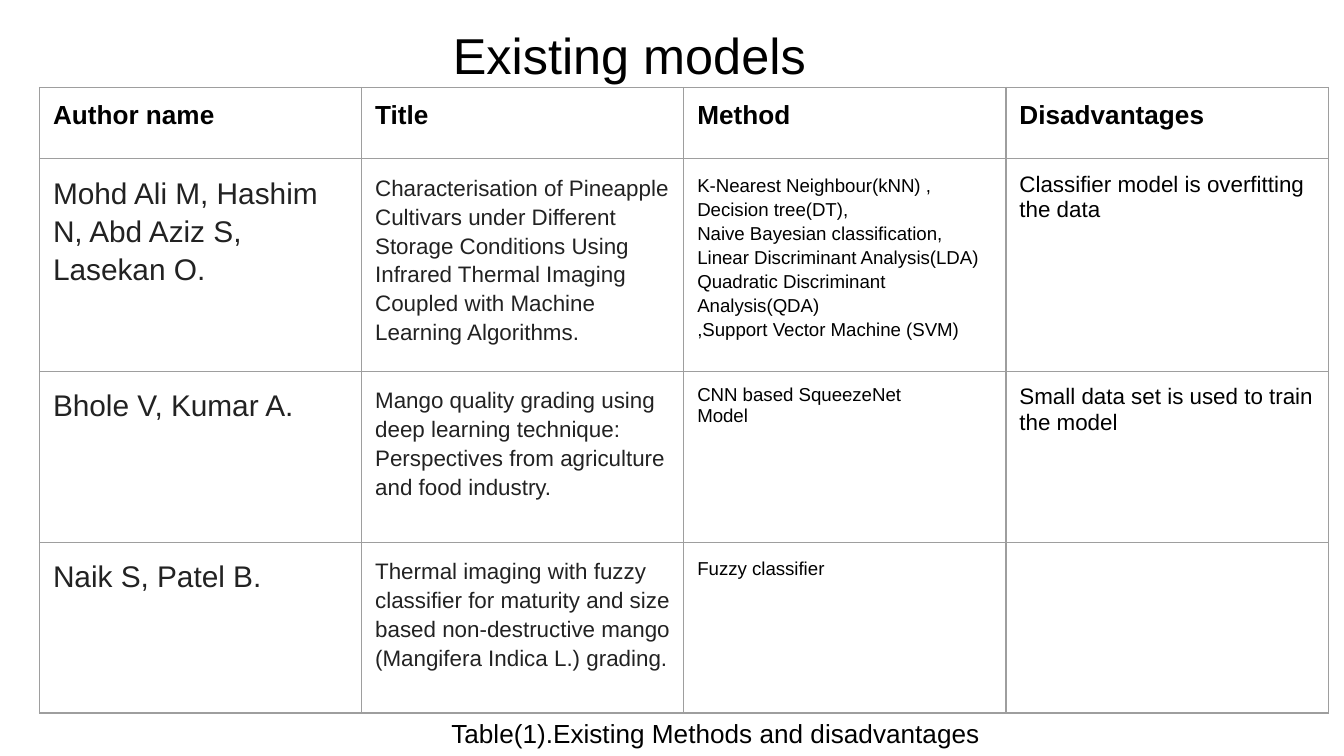
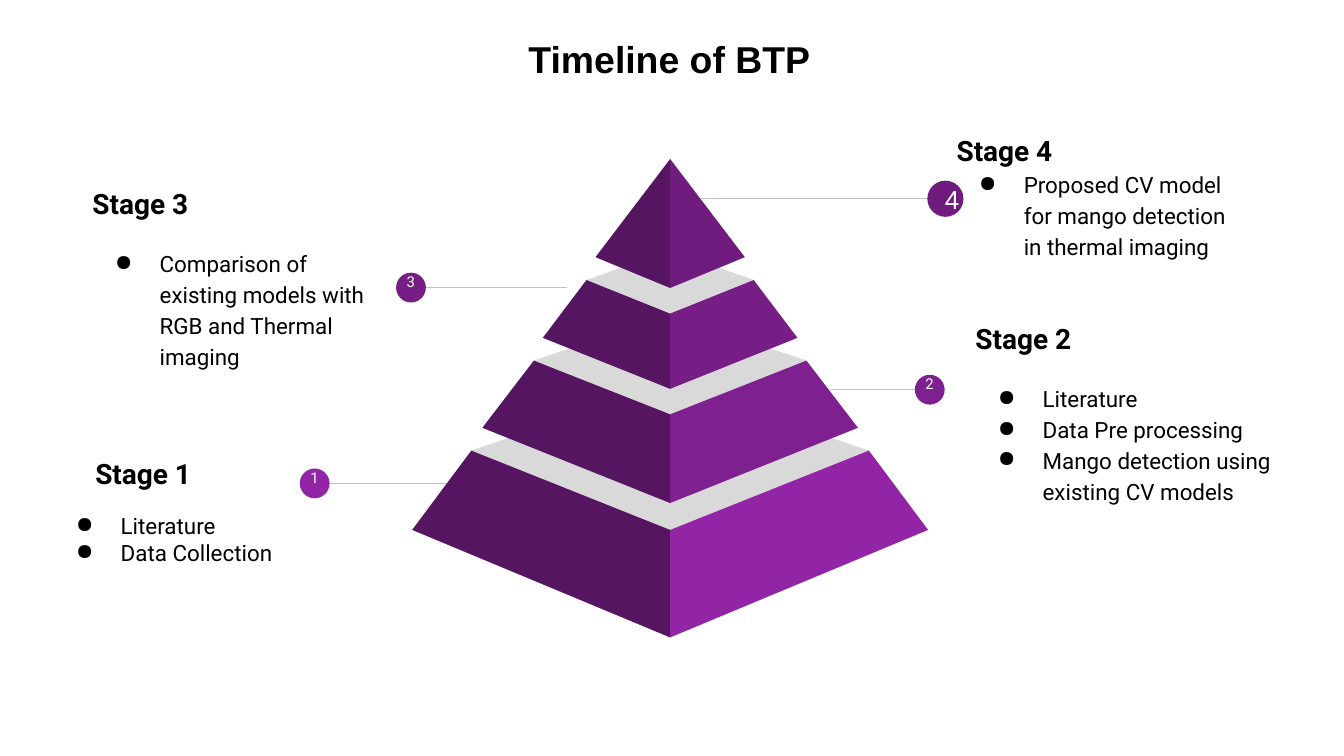
from dataclasses import dataclass

from lxml.etree import SubElement
from pptx import Presentation
from pptx.dml.color import RGBColor as RGB
from pptx.enum.shapes import MSO_CONNECTOR as CONN, MSO_SHAPE as SHAPE
from pptx.enum.text import MSO_ANCHOR as ANCHOR, PP_ALIGN as ALIGN
from pptx.oxml.ns import qn
from pptx.util import Pt


@dataclass(frozen=True)
class Theme:
    sans: str = "Arial"
    body: str = "Roboto"
    ink: str = "000000"
    soft: str = "222222"
    white: str = "FFFFFF"
    grid: str = "9E9E9E"
    leader: str = "C2C2C2"
    lid: str = "D9D9D9"
    shade: str = "551561"
    stages: tuple = ("9225A5", "7F2090", "761E86", "701C7F")
    title: float = 27
    title_bold: float = 20
    stage: float = 15
    author: float = 16
    label: float = 14
    text: float = 12
    small: float = 10
    badge: float = 8
    inset: float = 7.2
    line: float = 0.75


T = Theme()


# Shared helpers

def write(tf, text, size=T.text, font=T.sans, color=T.ink, bold=False,
          align=ALIGN.LEFT, spacing=None, after=0, indent=0, bullet=False):
    """Add one paragraph, filling the empty first one if there is one."""
    p = tf.paragraphs[0]
    if p.runs:
        p = tf.add_paragraph()
    p.alignment, p.space_after = align, Pt(after)
    if spacing:
        p.line_spacing = spacing
    r = p.add_run()
    r.text = text
    f = r.font
    f.size, f.name, f.bold = Pt(size), font, bold
    f.color.rgb = RGB.from_string(color)
    pPr = p._p.get_or_add_pPr()
    if indent:
        pPr.set("marL", str(Pt(indent)))
    if bullet:
        pPr.set("marL", str(Pt(36)))
        pPr.set("indent", str(Pt(-24)))
        clr = SubElement(pPr, qn("a:buClr"))
        SubElement(clr, qn("a:srgbClr"), val=color)
        SubElement(pPr, qn("a:buChar"), char="●")


def set_frame(tf, anchor=ANCHOR.TOP, bottom=T.inset):
    tf.word_wrap, tf.vertical_anchor = True, anchor
    tf.margin_left = tf.margin_right = tf.margin_top = Pt(T.inset)
    tf.margin_bottom = Pt(bottom)
    return tf


def text_box(shapes, box, **frame):
    return set_frame(shapes.add_textbox(*map(Pt, box)).text_frame, **frame)


def paint(sp, color):
    sp.shadow.inherit = False
    sp.fill.solid()
    sp.fill.fore_color.rgb = RGB.from_string(color)
    sp.line.fill.background()
    return sp


def polygon(shapes, points, color):
    start, *rest = [tuple(map(Pt, pt)) for pt in dict.fromkeys(points)]
    builder = shapes.build_freeform(*start)
    builder.add_line_segments(rest, close=True)
    paint(builder.convert_to_shape(), color)


def leader(shapes, x1, x2, y):
    line = shapes.add_connector(CONN.STRAIGHT, Pt(x1), Pt(y), Pt(x2), Pt(y))
    line.line.color.rgb = RGB.from_string(T.leader)
    line.line.width = Pt(T.line)
    SubElement(line._element.spPr, qn("a:effectLst"))


def title(s, box, text, size, bold=False):
    write(text_box(s.shapes, box), text, size=size, bold=bold, align=ALIGN.CENTER)


# Existing models: table

HEADERS = ("Author name", "Title", "Method", "Disadvantages")
MODELS = [
    ("Mohd Ali M, Hashim N, Abd Aziz S, Lasekan O.",
     "Characterisation of Pineapple Cultivars under Different Storage Conditions "
     "Using Infrared Thermal Imaging Coupled with Machine Learning Algorithms.",
     ("K-Nearest Neighbour(kNN) ,", "Decision tree(DT),",
      "Naive Bayesian classification,", "Linear Discriminant Analysis(LDA)",
      "Quadratic Discriminant Analysis(QDA)", ",Support Vector Machine (SVM)"),
     dict(spacing=1.15), "Classifier model is overfitting the data"),
    ("Bhole V, Kumar A.",
     "Mango quality grading using deep learning technique: Perspectives from "
     "agriculture and food industry.",
     ("CNN based SqueezeNet", "Model"), {},
     "Small data set is used to train the model"),
    ("Naik S, Patel B.",
     "Thermal imaging with fuzzy classifier for maturity and size based "
     "non-destructive mango (Mangifera Indica L.) grading.",
     ("Fuzzy classifier",), dict(spacing=1.15, after=12), ""),
]
ROW_HEIGHTS = (38.2, 106.6, 91.6, 91.6)


def style_cell(cell):
    cell.margin_left = cell.margin_right = Pt(T.inset)
    cell.margin_top = cell.margin_bottom = Pt(T.inset)
    tcPr = cell._tc.get_or_add_tcPr()
    for side in ("lnL", "lnR", "lnT", "lnB"):
        ln = SubElement(tcPr, qn(f"a:{side}"), w=str(Pt(T.line)))
        fill = SubElement(ln, qn("a:solidFill"))
        SubElement(fill, qn("a:srgbClr"), val=T.grid)
    cell.fill.background()


def models_table(s, box):
    tbl = s.shapes.add_table(len(MODELS) + 1, len(HEADERS), *map(Pt, box)).table
    tbl.first_row = tbl.horz_banding = False
    for col in tbl.columns:
        col.width = Pt(box[2] / len(HEADERS))
    for row, height in zip(tbl.rows, ROW_HEIGHTS):
        row.height = Pt(height)
    for cell in tbl.iter_cells():
        style_cell(cell)
    for c, text in enumerate(HEADERS):
        write(tbl.cell(0, c).text_frame, text, size=T.label, bold=True)

    cited = dict(color=T.soft, spacing=1.15, after=10)
    for i, (author, paper, methods, fmt, drawback) in enumerate(MODELS, 1):
        frames = [tbl.cell(i, c).text_frame for c in range(len(HEADERS))]
        write(frames[0], author, size=T.author, **cited)
        write(frames[1], paper, **cited)
        for method in methods:
            write(frames[2], method, size=T.small, **fmt)
        if drawback:
            write(frames[3], drawback)


def models_slide(s):
    title(s, (77, 5.8, 527.8, 47.5), "Existing models ", T.title)
    models_table(s, (21.2, 46.9, 690.4, 334))
    caption = text_box(s.shapes, (234.7, 377.3, 311.8, 31.7))
    write(caption, "Table(1).Existing Methods and disadvantages", size=T.label)


# Timeline: pyramid

# Upper half-width, shoulder y, upper ridge y, lower half-width, corner y, lower ridge y
TIERS = (
    (106.5, 156.2, 198.7, 138.2, 198.7, 256.3),
    (73, 108, 136.8, 100.6, 144, 184.3),
    (44.8, 64.8, 82.8, 68.2, 95.8, 123.1),
    (0, 0, 0, 40, 52.6, 69.1),
)
LID_BACKS = (120.2, 83.5, 49)


def pyramid(s, box):
    left, top, width, _ = box
    axis = left + width / 2
    shapes = s.shapes.add_group_shape().shapes
    # Lids between the tiers
    for (half, shoulder, ridge, *_), back in zip(TIERS, LID_BACKS):
        polygon(shapes, [(axis - half, top + shoulder), (axis, top + ridge),
                         (axis + half, top + shoulder), (axis, top + back)], T.lid)
    # Dark left face and bright right face
    for (half, shoulder, ridge, base, corner, foot), color in zip(TIERS, T.stages):
        for side, fill in ((-1, T.shade), (1, color)):
            polygon(shapes, [(axis + side * half, top + shoulder), (axis, top + ridge),
                             (axis, top + foot), (axis + side * base, top + corner)], fill)


# Timeline: stages

def badge(shapes, cx, cy, number):
    d = 16
    paint(shapes.add_shape(SHAPE.OVAL, *map(Pt, (cx - d / 2, cy - d / 2, d, d))),
          T.stages[number - 1])
    tf = text_box(shapes, (cx - 9.8, cy - 13, 19.5, 24.5))
    write(tf, str(number), size=T.badge, font=T.body, color=T.white, align=ALIGN.CENTER)


def large_badge(shapes, cx, cy, number):
    d = 19.4
    sp = paint(shapes.add_shape(SHAPE.FLOWCHART_CONNECTOR,
                                *map(Pt, (cx - d / 2, cy - d / 2, d, d))),
               T.stages[number - 1])
    write(set_frame(sp.text_frame, ANCHOR.MIDDLE), str(number), size=T.label, color=T.white)


def stage(s, box, number, items, dot, tip, gap=0, indent=0, spacing=1.15,
          bottom=T.inset, mark=badge):
    """Place a stage; dot is the badge centre and tip the line end, from the box corner."""
    x, y, *_ = box
    shapes = s.shapes.add_group_shape().shapes
    tf = text_box(shapes, box, anchor=ANCHOR.MIDDLE, bottom=bottom)
    write(tf, f"Stage {number}", size=T.stage, font=T.body, bold=True,
          after=gap, indent=indent)
    for item in items:
        write(tf, item, font=T.body, spacing=spacing, bullet=True)
    cx, cy = x + dot[0], y + dot[1]
    leader(shapes, x + tip, cx, cy)
    mark(shapes, cx, cy, number)


def timeline_slide(s):
    stage(s, (515.5, 180, 191.5, 82.8), 2,
          ("Literature", "Data Pre processing", "Mango detection using existing CV models"),
          dot=(-17.4, 28.8), tip=-70.5, gap=14)
    stage(s, (21.6, 232.6, 132.5, 82.8), 1, ("Literature", "Data Collection"),
          dot=(147, 26.4), tip=230.4, gap=11.7, indent=22.4, spacing=None)
    pyramid(s, (220.8, 85.2, 276.4, 256.3))
    stage(s, (42.5, 112.3, 163.4, 82.8), 3,
          ("Comparison of existing models with RGB and Thermal imaging",),
          dot=(177.7, 41.8), tip=261.3, gap=14, bottom=16.6)
    stage(s, (505.4, 64.1, 163.4, 82.8), 4,
          ("Proposed CV model for mango detection in thermal imaging",),
          dot=(1.1, 42.4), tip=-130.3, mark=large_badge)
    title(s, (62, 12.2, 593.3, 38.9), "Timeline of BTP", T.title_bold, bold=True)


def main():
    prs = Presentation()
    prs.slide_width, prs.slide_height = Pt(720), Pt(405)
    blank = prs.slide_layouts[6]
    for build in (models_slide, timeline_slide):
        build(prs.slides.add_slide(blank))
    prs.save("out.pptx")


if __name__ == "__main__":
    main()
